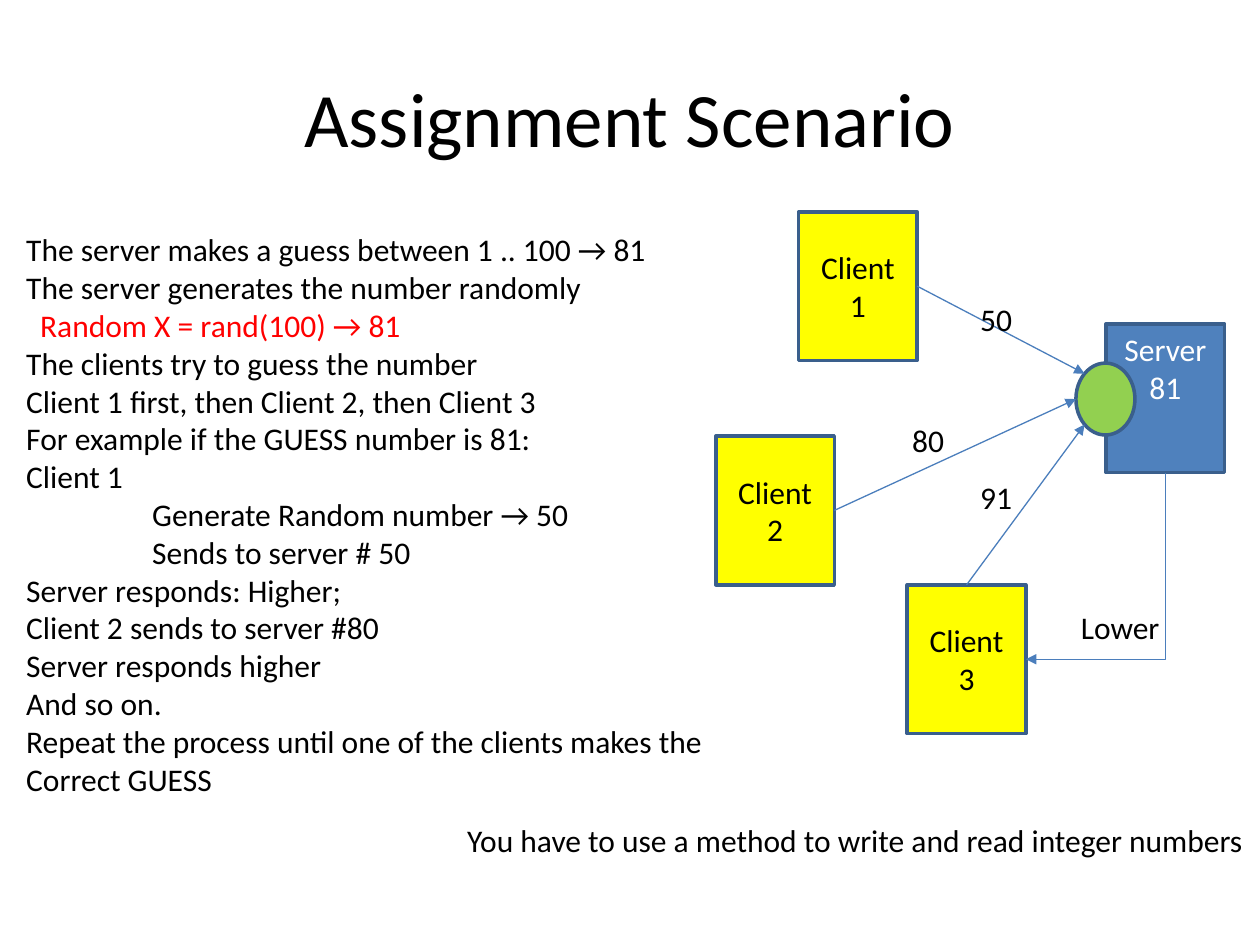
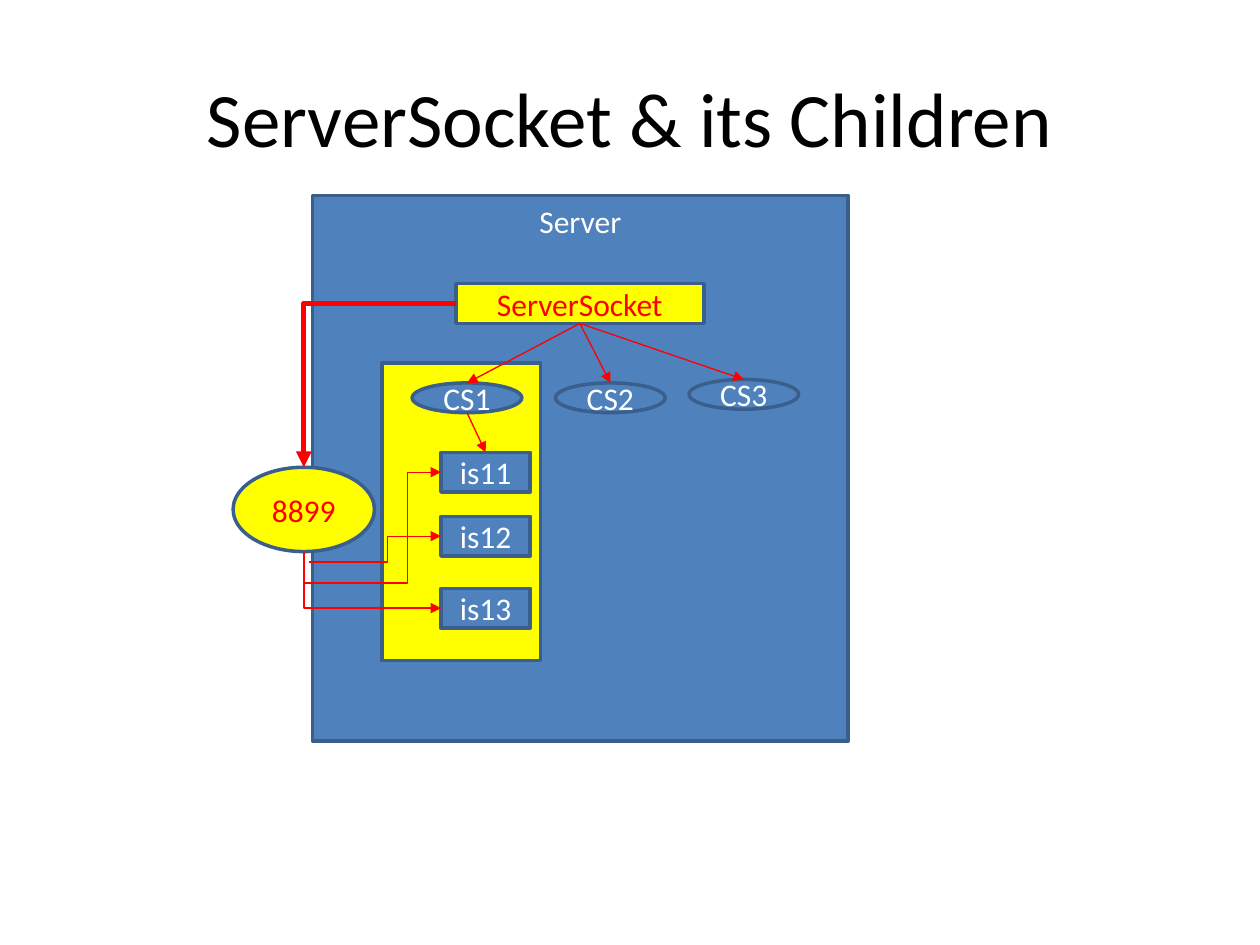
"""Builds two slides on a client and server guessing game and its sockets."""
from math import cos, radians, sin

from lxml.etree import SubElement
from pptx import Presentation
from pptx.dml.color import RGBColor
from pptx.enum.shapes import MSO_CONNECTOR as Connector, MSO_SHAPE as Shape
from pptx.enum.text import MSO_ANCHOR as Anchor, MSO_AUTO_SIZE as AutoSize, PP_ALIGN as Align
from pptx.oxml.ns import qn
from pptx.util import Cm, Pt

BLACK = RGBColor(0x00, 0x00, 0x00)
WHITE = RGBColor(0xFF, 0xFF, 0xFF)
RED = RGBColor(0xFF, 0x00, 0x00)
YELLOW = RGBColor(0xFF, 0xFF, 0x00)
GREEN = RGBColor(0x92, 0xD0, 0x50)
BLUE = RGBColor(0x4F, 0x81, 0xBD)
OUTLINE = RGBColor(0x3A, 0x5F, 0x8C)
ARROW_BLUE = RGBColor(0x4B, 0x7E, 0xBC)

FONT = "Calibri"
TOP, LEFT, BOTTOM, RIGHT = range(4)
TITLE_BOX = (1.27, 0.76, 22.86, 3.18)
TITLE_FORMAT = {"vertical_anchor": Anchor.MIDDLE, "word_wrap": True}
LABEL_FORMAT = {"word_wrap": False, "auto_size": AutoSize.SHAPE_TO_FIT_TEXT}

STEPS = [
    ("The server makes a guess between 1 .. 100 → 81", 0, BLACK),
    ("The server generates the number randomly", 0, BLACK),
    ("Random X = rand(100) → 81", 0.28, RED),
    ("The clients try to guess the number", 0, BLACK),
    ("Client 1 first, then Client 2, then Client 3", 0, BLACK),
    ("For example if the GUESS number is 81:", 0, BLACK),
    ("Client 1", 0, BLACK),
    ("Generate Random number → 50", 2.54, BLACK),
    ("Sends to server # 50", 2.54, BLACK),
    ("Server responds: Higher;", 0, BLACK),
    ("Client 2 sends to server #80", 0, BLACK),
    ("Server responds higher", 0, BLACK),
    ("And so on.", 0, BLACK),
    ("Repeat the process until one of the clients makes the", 0, BLACK),
    ("Correct GUESS", 0, BLACK),
]
STEPS_BOX = (0.28, 4.52, 14.6, 12.57)
LABELS = [
    ("You have to use a method to write and read integer numbers", 9.17, 16.43, 16.36),
    ("50", 19.51, 5.92, 1.17),
    ("80", 18.14, 8.36, 1.17),
    ("91", 19.51, 9.52, 1.17),
    ("Lower", 21.54, 12.14, 2.11),
]
LABEL_HEIGHT = 1.02
MACHINE_SIZE = (2.39, 3)
SERVER_PLACE = (22.3, 6.53)
PORT_BOX = (21.69, 7.32, 1.19, 1.45)
CLIENTS = [
    ("Client 1", (16.1, 4.27), RIGHT, 225),
    ("Client 2", (14.43, 8.79), RIGHT, 180),
    ("Client 3", (18.29, 11.79), TOP, 135),
]

HOST_BOX = (6.3, 3.94, 10.8, 11)
GROUP_BOX = (7.7, 7.32, 3.2, 6)
SOCKET_BOX = (9.19, 5.72, 5, 0.8)
PORT_NUMBER_BOX = (4.7, 9.42, 2.85, 1.7)
CHILD_SIZE = (2.21, 0.6)
CHILDREN = [("CS1", (8.31, 7.72)), ("CS2", (11.2, 7.72)), ("CS3", (13.89, 7.65))]
STREAM_LEFT, STREAM_SIZE = 8.89, (1.8, 0.8)
STREAMS = [("is11", 9.12), ("is12", 10.41), ("is13", 11.86)]
LOOSE_START = (Cm(6.22), Cm(11.33))


def write(frame, lines, size=18, align=Align.LEFT):
    """Fills a text frame with (text, indent, colour) lines."""
    for number, (text, indent, color) in enumerate(lines):
        paragraph = frame.add_paragraph() if number else frame.paragraphs[0]
        paragraph.alignment = align
        if indent:
            paragraph._p.get_or_add_pPr().set("marL", str(Cm(indent)))
        run = paragraph.add_run()
        run.text = text
        run.font.color.rgb = color
        for name, value in {"name": FONT, "size": Pt(size)}.items():
            setattr(run.font, name, value)


def add_text(slide, box, lines, frame_format, **text_format):
    """Adds a text box."""
    frame = slide.shapes.add_textbox(*map(Cm, box)).text_frame
    for name, value in frame_format.items():
        setattr(frame, name, value)
    write(frame, lines, **text_format)


def add_box(slide, kind, box, fill, texts=(), color=WHITE, anchor=Anchor.MIDDLE):
    """Adds an outlined shape with centred text."""
    shape = slide.shapes.add_shape(kind, *map(Cm, box))
    shape.shadow.inherit = False
    shape.fill.solid()
    shape.fill.fore_color.rgb = fill
    shape.line.color.rgb = OUTLINE
    shape.line.width = Pt(2)
    shape.text_frame.vertical_anchor = anchor
    write(shape.text_frame, [(text, 0, color) for text in texts], align=Align.CENTER)
    return shape


def side(shape, index):
    """Returns the middle of one side of a shape."""
    across, down = [(0.5, 0), (0, 0.5), (0.5, 1), (1, 0.5)][index]
    return int(shape.left + across * shape.width), int(shape.top + down * shape.height)


def rim(shape, degrees):
    """Returns the point of an ellipse at an angle."""
    turn = radians(degrees)
    return (int(shape.left + shape.width / 2 * (1 + cos(turn))),
            int(shape.top + shape.height / 2 * (1 + sin(turn))))


def style_arrow(connector, color, width=0.75):
    """Gives a connector its line, its head and no shadow."""
    connector.line.color.rgb = color
    connector.line.width = Pt(width)
    SubElement(connector.line._get_or_add_ln(), qn("a:tailEnd"), type="triangle")
    SubElement(connector._element.spPr, qn("a:effectLst"))


def add_arrow(slide, start, end, color):
    """Adds a straight arrow between two points."""
    connector = slide.shapes.add_connector(Connector.STRAIGHT, *start, *end)
    style_arrow(connector, color)
    return connector


def add_elbow(slide, start, end, color, turn=0, flips="", bends=2, adjust=(), width=0.75):
    """Adds a bent arrow whose frame is turned about its centre."""
    reach, drop = (abs(b - a) for a, b in zip(start, end))
    if turn % 180:
        reach, drop = drop, reach
    left = (start[0] + end[0] - reach) // 2
    top = (start[1] + end[1] - drop) // 2
    columns, rows = [left, left + reach], [top, top + drop]
    if "h" in flips:
        columns.reverse()
    if "v" in flips:
        rows.reverse()
    connector = slide.shapes.add_connector(
        Connector.ELBOW, columns[0], rows[0], columns[1], rows[1])
    properties = connector._element.spPr
    properties.find(qn("a:xfrm")).set("rot", str(turn * 60000))
    geometry = properties.find(qn("a:prstGeom"))
    geometry.set("prst", f"bentConnector{bends}")
    values = geometry.find(qn("a:avLst"))
    for number, value in enumerate(adjust, 1):
        SubElement(values, qn("a:gd"), name=f"adj{number}", fmla=f"val {value}")
    style_arrow(connector, color, width)


def add_slide(presentation, title):
    """Adds a blank slide with the shared title."""
    slide = presentation.slides.add_slide(presentation.slide_layouts[6])
    add_text(slide, TITLE_BOX, [(title, 0, BLACK)], TITLE_FORMAT, size=44, align=Align.CENTER)
    return slide


def build_scenario(presentation):
    """Builds the guessing game slide."""
    slide = add_slide(presentation, "Assignment Scenario")
    server = add_box(slide, Shape.RECTANGLE, SERVER_PLACE + MACHINE_SIZE, BLUE,
                     ["Server", "81"], anchor=Anchor.TOP)
    port = add_box(slide, Shape.OVAL, PORT_BOX, GREEN)
    for name, place, exit_side, angle in CLIENTS:
        client = add_box(slide, Shape.RECTANGLE, place + MACHINE_SIZE, YELLOW, [name], BLACK)
        arrow = add_arrow(slide, side(client, exit_side), rim(port, angle), ARROW_BLUE)
        arrow.begin_connect(client, exit_side)
    add_elbow(slide, side(server, BOTTOM), side(client, RIGHT), ARROW_BLUE, turn=90)
    add_text(slide, STEPS_BOX, STEPS, LABEL_FORMAT)
    for text, left, top, width in LABELS:
        add_text(slide, (left, top, width, LABEL_HEIGHT), [(text, 0, BLACK)], LABEL_FORMAT)


def build_sockets(presentation):
    """Builds the server socket slide."""
    slide = add_slide(presentation, "ServerSocket & its Children")
    add_box(slide, Shape.RECTANGLE, HOST_BOX, BLUE, ["Server"], anchor=Anchor.TOP)
    add_box(slide, Shape.RECTANGLE, GROUP_BOX, YELLOW)
    socket = add_box(slide, Shape.RECTANGLE, SOCKET_BOX, YELLOW, ["ServerSocket"], RED)
    port = add_box(slide, Shape.OVAL, PORT_NUMBER_BOX, YELLOW, ["8899"], RED)
    children = [add_box(slide, Shape.OVAL, place + CHILD_SIZE, BLUE, [name])
                for name, place in CHILDREN]
    streams = [add_box(slide, Shape.RECTANGLE, (STREAM_LEFT, top) + STREAM_SIZE, BLUE, [name])
               for name, top in STREAMS]
    for child in children:
        arrow = add_arrow(slide, side(socket, BOTTOM), side(child, TOP), RED)
        arrow.begin_connect(socket, BOTTOM)
        arrow.end_connect(child, TOP)
    arrow = add_arrow(slide, side(children[0], BOTTOM), side(streams[0], TOP), RED)
    arrow.end_connect(streams[0], TOP)

    first, second, third = (side(stream, LEFT) for stream in streams)
    port_bottom = side(port, BOTTOM)
    add_elbow(slide, port_bottom, third, RED, turn=270, flips="h")
    add_elbow(slide, LOOSE_START, second, RED, flips="v", bends=3, adjust=[59900])
    add_elbow(slide, port_bottom, first, RED, turn=90, flips="hv", bends=4,
              adjust=[-39700, 75600])
    add_elbow(slide, side(socket, LEFT), side(port, TOP), RED, turn=180, flips="v", width=3)


def main():
    """Builds and saves the presentation."""
    presentation = Presentation()
    presentation.slide_width, presentation.slide_height = Cm(25.4), Cm(19.05)
    build_scenario(presentation)
    build_sockets(presentation)
    presentation.save("out.pptx")


if __name__ == "__main__":
    main()
